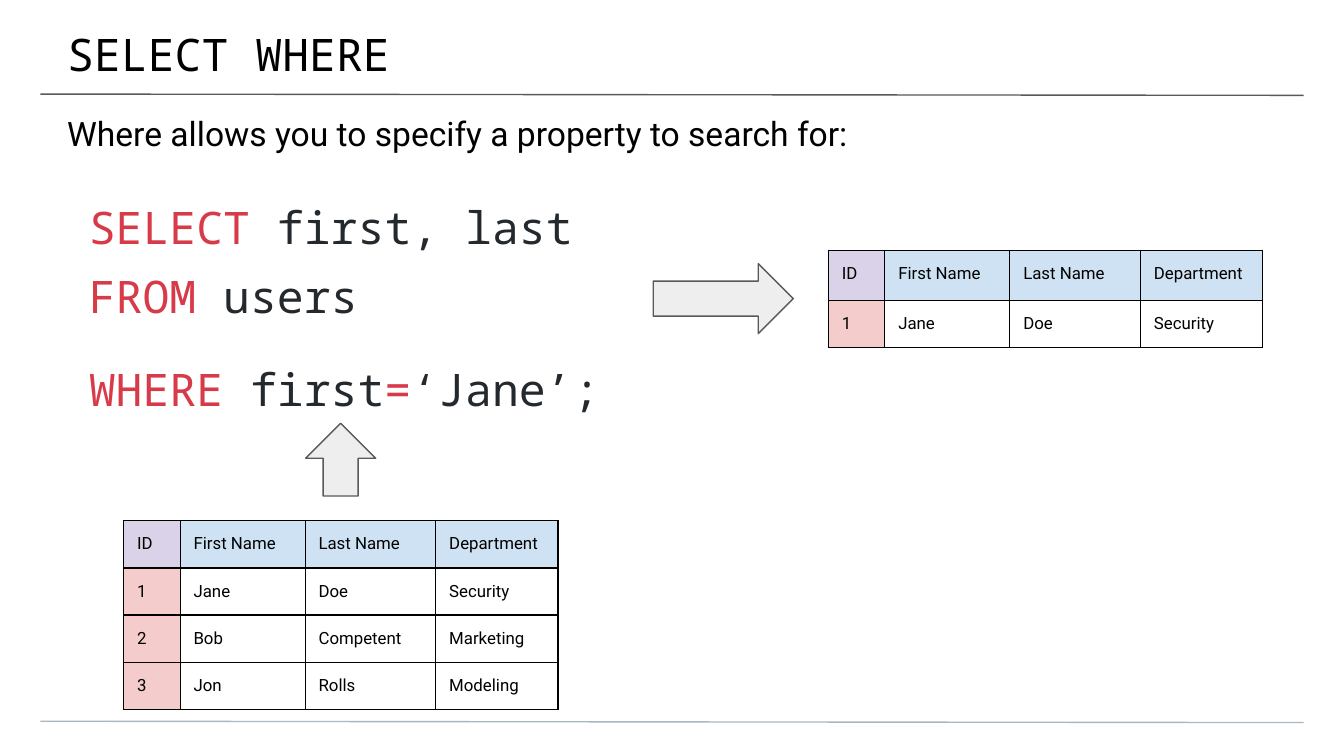
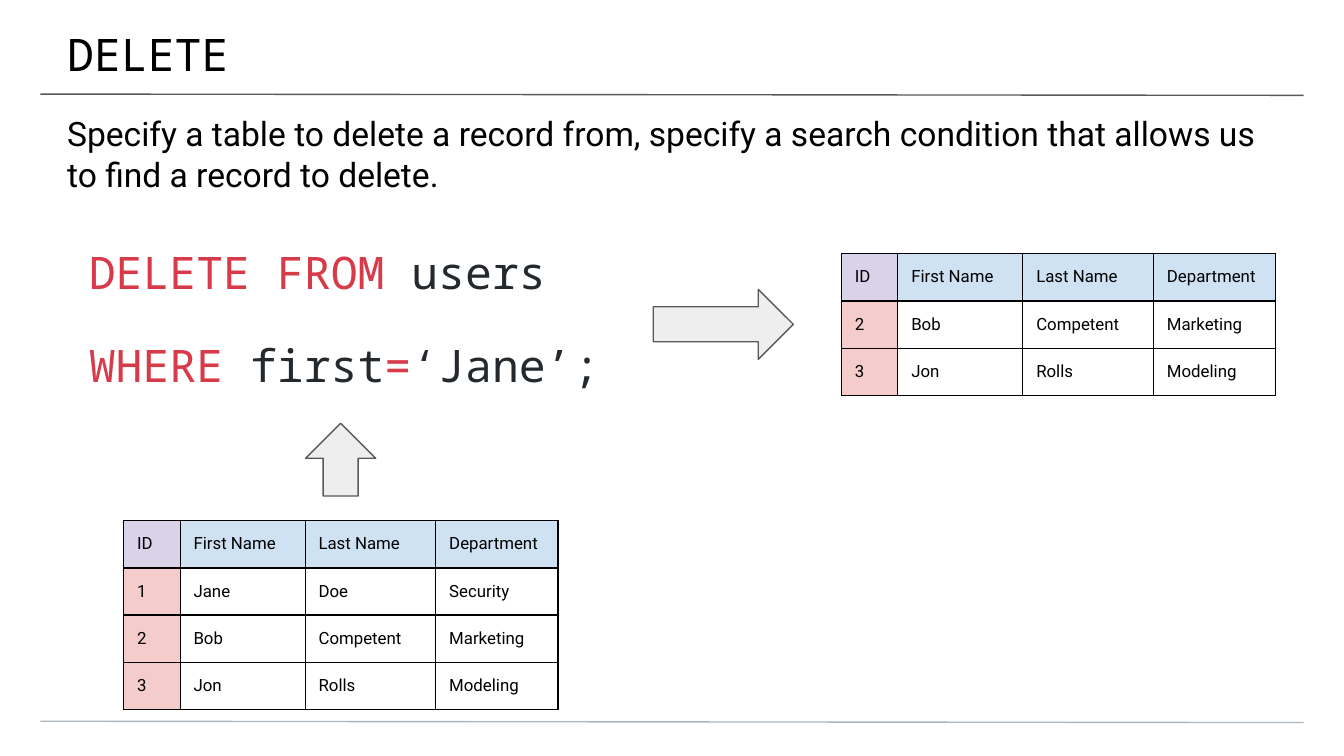
"""Build two slides on the SQL statements SELECT WHERE and DELETE."""
from lxml import etree
from pptx import Presentation
from pptx.dml.color import RGBColor
from pptx.enum import shapes, text
from pptx.oxml import ns
from pptx.util import Pt

BLACK = RGBColor(0x00, 0x00, 0x00)
WHITE = RGBColor(0xFF, 0xFF, 0xFF)
KEYWORD = RGBColor(0xD7, 0x3A, 0x49)
PLAIN_CODE = RGBColor(0x24, 0x29, 0x2E)
OUTLINE = RGBColor(0x59, 0x59, 0x59)
FOOTER_RULE = RGBColor(0xA9, 0xB7, 0xC0)
ARROW_FILL = RGBColor(0xEE, 0xEE, 0xEE)
ID_HEADER = RGBColor(0xD9, 0xD2, 0xE9)
HEADER = RGBColor(0xCF, 0xE2, 0xF3)
ID_COLUMN = RGBColor(0xF4, 0xCC, 0xCC)
MONO, SANS = "Noto Sans Mono", "Roboto"

COLUMN_WIDTHS = (30.25, 67, 70, 65.5)
ROW_HEIGHT = 25
FIELDS = ("ID", "First Name", "Last Name", "Department")
JANE = ("1", "Jane", "Doe", "Security")
BOB = ("2", "Bob", "Competent", "Marketing")
JON = ("3", "Jon", "Rolls", "Modeling")
WHERE_LINE = (("WHERE", KEYWORD), (" first", PLAIN_CODE), ("=", KEYWORD), ("‘Jane’;", PLAIN_CODE))

SLIDES = (
    dict(
        title="SELECT WHERE",
        intro="Where allows you to specify a property to search for:",
        code=(
            (("SELECT", KEYWORD), (" first, last", PLAIN_CODE)),
            (("FROM", KEYWORD), (" users", PLAIN_CODE)),
            WHERE_LINE,
        ),
        code_top=100,
        arrow_top=141.25,
        result=(443.75, 134, 27, (FIELDS, JANE)),
    ),
    dict(
        title="DELETE",
        intro="Specify a table to delete a record from, specify a search condition "
              "that allows us to find a record to delete.",
        code=((("DELETE FROM", KEYWORD), (" users", PLAIN_CODE)), WHERE_LINE),
        code_top=124,
        arrow_top=155,
        result=(450.75, 136, ROW_HEIGHT, (FIELDS, BOB, JON)),
    ),
)


def add_text(slide, box, insets, lines, font, size):
    """Add a text box whose lines are sequences of (wording, colour) runs."""
    frame = slide.shapes.add_textbox(*map(Pt, box)).text_frame
    frame.word_wrap = True
    frame.vertical_anchor = text.MSO_ANCHOR.TOP
    frame.margin_left, frame.margin_top, frame.margin_right, frame.margin_bottom = map(Pt, insets)
    for number, line in enumerate(lines):
        paragraph = frame.add_paragraph() if number else frame.paragraphs[0]
        if number:
            paragraph.space_before = Pt(8)
        for wording, colour in line:
            run = paragraph.add_run()
            run.text = wording
            run.font.name, run.font.size = font, Pt(size)
            run.font.color.rgb = colour
    return frame


def add_records(slide, left, top, header_height, records):
    """Add a bordered table of user records."""
    height = header_height + ROW_HEIGHT * (len(records) - 1)
    table = slide.shapes.add_table(
        len(records), len(FIELDS), Pt(left), Pt(top), Pt(sum(COLUMN_WIDTHS)), Pt(height)
    ).table
    table.first_row = table.horz_banding = False
    for column, width in zip(table.columns, COLUMN_WIDTHS):
        column.width = Pt(width)
    for r, record in enumerate(records):
        table.rows[r].height = Pt(ROW_HEIGHT if r else header_height)
        for c, value in enumerate(record):
            cell = table.cell(r, c)
            cell.margin_left = cell.margin_right = cell.margin_top = cell.margin_bottom = Pt(7.2)
            cell.text_frame.text = value
            font = cell.text_frame.paragraphs[0].runs[0].font
            font.name, font.size, font.bold = SANS, Pt(9), False
            font.color.rgb = BLACK
            properties = cell._tc.get_or_add_tcPr()
            for side in ("a:lnL", "a:lnR", "a:lnT", "a:lnB"):
                border = etree.SubElement(properties, ns.qn(side), w=str(Pt(0.75)))
                fill = etree.SubElement(border, ns.qn("a:solidFill"))
                etree.SubElement(fill, ns.qn("a:srgbClr"), val=str(BLACK))
            if r and c:
                cell.fill.background()
            else:
                cell.fill.solid()
                cell.fill.fore_color.rgb = ID_COLUMN if r else HEADER if c else ID_HEADER


deck = Presentation()
deck.slide_width, deck.slide_height = Pt(720), Pt(405)

for content in SLIDES:
    slide = deck.slides.add_slide(deck.slide_layouts[6])
    slide.background.fill.solid()
    slide.background.fill.fore_color.rgb = WHITE

    for y, colour in ((50.4, OUTLINE), (386.4, FOOTER_RULE)):
        rule = slide.shapes.add_connector(
            shapes.MSO_CONNECTOR.STRAIGHT, Pt(21.6), Pt(y), Pt(698.4), Pt(y + 0.7)
        )
        rule.line.color.rgb = colour
        rule.line.width = Pt(0.75)
        etree.SubElement(rule._element.spPr, ns.qn("a:effectLst"))

    code = add_text(slide, (26, content["code_top"], 323.5, 112.5), (21.6, 7.2, 0, 7.2),
                    content["code"], MONO, 24)
    code.paragraphs[-1].line_spacing = 1.45
    add_text(slide, (0, 0, 720, 42), (36, 14.4, 21.6, 7.2),
             [[(content["title"], BLACK)]], MONO, 24)
    add_text(slide, (0, 53.5, 720, 29), (36, 7.2, 36, 0),
             [[(content["intro"], BLACK)]], SANS, 18)

    add_records(slide, 66.25, 279, ROW_HEIGHT, (FIELDS, JANE, BOB, JON))
    add_records(slide, *content["result"])

    for left, top, width, rotation in ((350, content["arrow_top"], 75, 0), (163, 227.5, 39, 270)):
        arrow = slide.shapes.add_shape(
            shapes.MSO_SHAPE.RIGHT_ARROW, Pt(left), Pt(top), Pt(width), Pt(37.5)
        )
        arrow.rotation = rotation
        arrow.shadow.inherit = False
        arrow.fill.solid()
        arrow.fill.fore_color.rgb = ARROW_FILL
        arrow.line.color.rgb = OUTLINE
        arrow.line.width = Pt(0.75)

deck.save("out.pptx")
